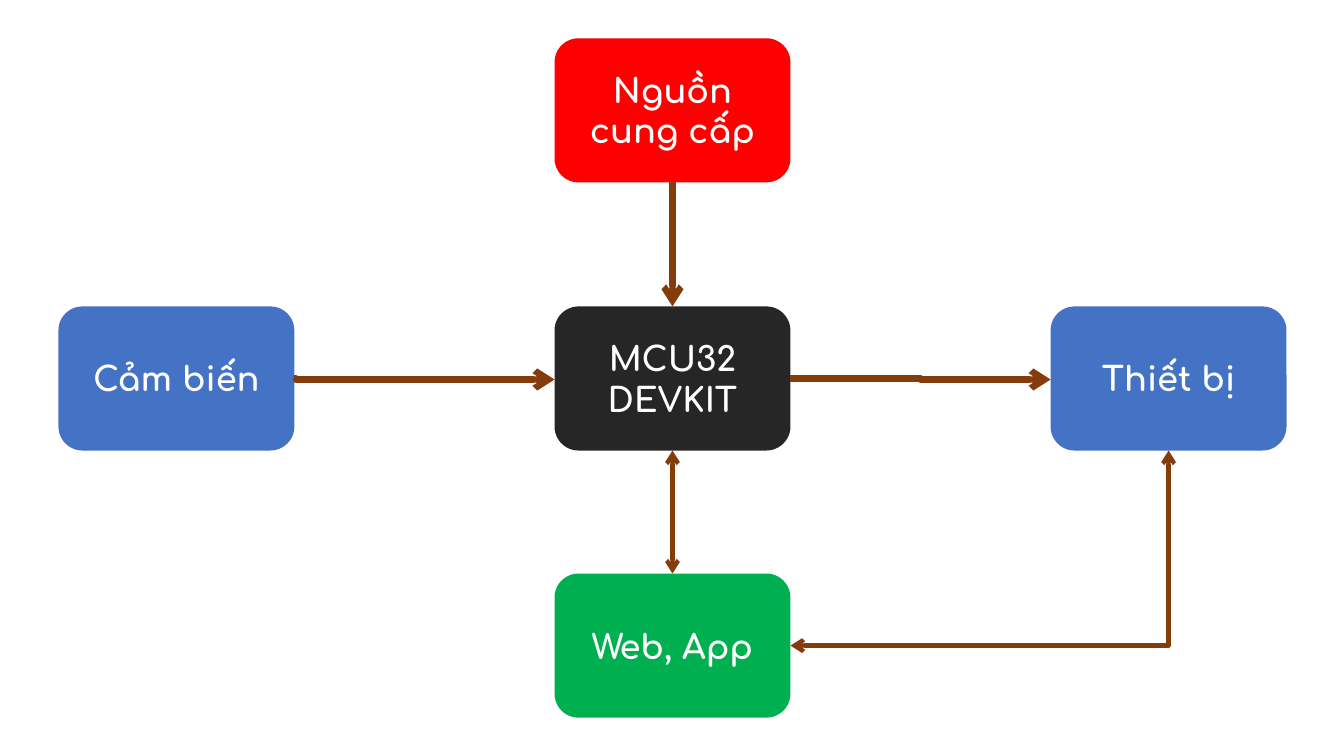
from dataclasses import dataclass
from enum import IntEnum

from lxml.etree import SubElement
from pptx import Presentation
from pptx.dml.color import RGBColor
from pptx.enum.shapes import MSO_CONNECTOR, MSO_SHAPE
from pptx.enum.text import MSO_ANCHOR, PP_ALIGN
from pptx.oxml.ns import qn
from pptx.shapes.autoshape import Shape
from pptx.slide import Slide
from pptx.util import Inches, Pt

BOX_WIDTH, BOX_HEIGHT = 2.34, 1.43
COLUMN_LEFTS = [0.58, 5.5, 10.42]
ROW_TOPS = [0.38, 3.04, 5.69]
STEP = 0.01
FONT = "Comfortaa"
WHITE, BLUE, BROWN = "FFFFFF", "4472C4", "843C0B"


class Side(IntEnum):
    TOP = 0
    LEFT = 1
    BOTTOM = 2
    RIGHT = 3


@dataclass(frozen=True)
class Block:
    key: str
    text: str
    column: int
    row: int
    fill: str


@dataclass(frozen=True)
class Link:
    source: str
    source_side: Side
    target: str
    target_side: Side
    preset: str = "line"
    width: float = 4.5
    two_way: bool = False
    bend: int = 50000


BLOCKS = [
    Block("controller", "MCU32\nDEVKIT", 1, 1, "262626"),
    Block("power", "Nguồn cung cấp", 1, 0, "FF0000"),
    Block("app", "Web, App", 1, 2, "00B050"),
    Block("sensor", "Cảm biến", 0, 1, BLUE),
    Block("device", "Thiết bị", 2, 1, BLUE),
]

LINKS = [
    Link("power", Side.BOTTOM, "controller", Side.TOP),
    Link("sensor", Side.RIGHT, "controller", Side.LEFT, "bentConnector3", bend=500),
    Link("controller", Side.RIGHT, "device", Side.LEFT, "bentConnector3"),
    Link("controller", Side.BOTTOM, "app", Side.TOP, width=3, two_way=True),
    Link("app", Side.RIGHT, "device", Side.BOTTOM, "bentConnector2",
         width=3, two_way=True),
]


def color(value: str) -> RGBColor:
    return RGBColor.from_string(value)


def draw_block(page: Slide, block: Block) -> Shape:
    box = page.shapes.add_shape(
        MSO_SHAPE.ROUNDED_RECTANGLE,
        Inches(COLUMN_LEFTS[block.column]), Inches(ROW_TOPS[block.row]),
        Inches(BOX_WIDTH), Inches(BOX_HEIGHT))
    box.shadow.inherit = False
    box.fill.solid()
    box.fill.fore_color.rgb = color(block.fill)
    box.line.fill.background()
    frame = box.text_frame
    frame.word_wrap = True
    frame.vertical_anchor = MSO_ANCHOR.MIDDLE
    frame.text = block.text
    for para in frame.paragraphs:
        para.alignment = PP_ALIGN.CENTER
        para.font.name = FONT
        para.font.size = Pt(24)
        para.font.bold = True
        para.font.color.rgb = color(WHITE)
    return box


def draw_link(page: Slide, link: Link, boxes: dict[str, Shape]) -> None:
    kind = MSO_CONNECTOR.STRAIGHT if link.preset == "line" else MSO_CONNECTOR.ELBOW
    connector = page.shapes.add_connector(kind, 0, 0, 0, 0)
    connector.begin_connect(boxes[link.source], link.source_side)
    connector.end_connect(boxes[link.target], link.target_side)
    connector.line.color.rgb = color(BROWN)
    connector.line.width = Pt(link.width)
    properties = connector._element.spPr
    geometry = properties.find(qn("a:prstGeom"))
    geometry.set("prst", link.preset)
    if link.preset == "bentConnector3":
        connector.end_y += Inches(STEP)
        SubElement(geometry.find(qn("a:avLst")), qn("a:gd"),
                   name="adj1", fmla=f"val {link.bend}")
    outline = properties.find(qn("a:ln"))
    for end in ["headEnd", "tailEnd"] if link.two_way else ["tailEnd"]:
        SubElement(outline, qn(f"a:{end}"), type="arrow")
    SubElement(properties, qn("a:effectLst"))


deck = Presentation()
deck.slide_width, deck.slide_height = Inches(13.33), Inches(7.5)
page = deck.slides.add_slide(deck.slide_layouts[6])
boxes = {block.key: draw_block(page, block) for block in BLOCKS}
for link in LINKS:
    draw_link(page, link, boxes)
deck.save("out.pptx")
